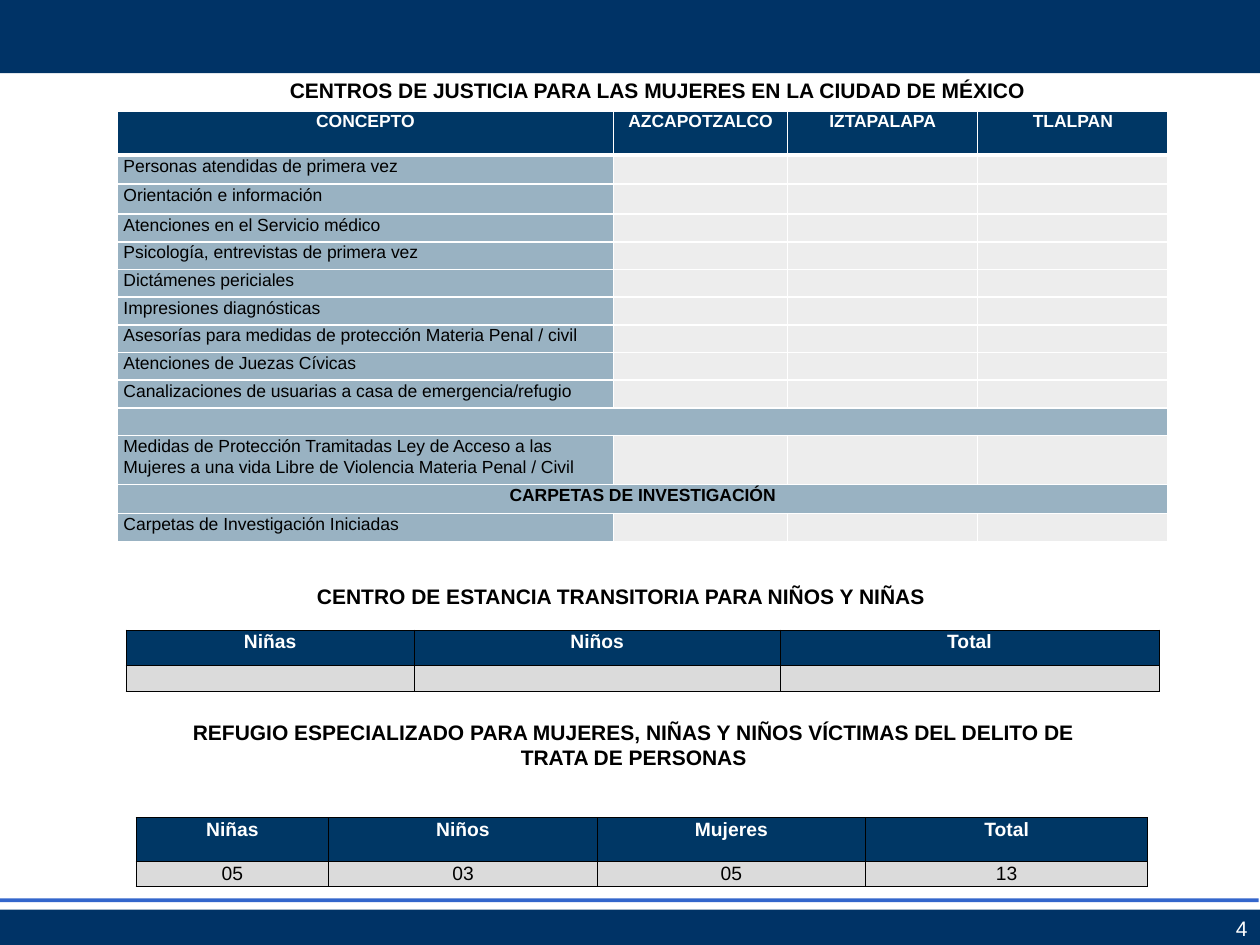
from dataclasses import dataclass

from lxml import etree
from pptx import Presentation
from pptx.dml.color import RGBColor
from pptx.enum import shapes, text
from pptx.oxml.ns import qn
from pptx.util import Inches, Pt

NAVY, BLUE, HEAD = "003366", "3366CC", "003765"
STEEL, PALE, GRAY = "99B2C2", "EDEDED", "DBDBDB"
WHITE, BLACK = "FFFFFF", "000000"
FONT = "Arial"
CENTER, LEFT = text.PP_ALIGN.CENTER, text.PP_ALIGN.LEFT


@dataclass
class Box:
    left: float
    top: float
    width: float
    height: float

    def place(self) -> tuple:
        return tuple(Inches(n) for n in (self.left, self.top, self.width, self.height))


@dataclass
class Bar:
    box: Box
    color: str


@dataclass
class Grid:
    left: float
    top: float
    cols: list[float]
    heights: list[float]
    rows: list[list[str]]
    size: int
    inset: float
    line: str
    weight: float
    first: str  # fill of the first body column
    body: str  # fill of the other body columns
    align: text.PP_ALIGN  # of the body text


def rgb(color: str) -> RGBColor:
    return RGBColor.from_string(color)


def write(frame, words: str, size: int, color: str = BLACK, bold: bool = True,
          align=CENTER, space: float = 1.0) -> None:
    frame.text = words
    para = frame.paragraphs[0]
    para.alignment, para.line_spacing = align, space
    for run in para.runs:
        run.font.name, run.font.size, run.font.bold = FONT, Pt(size), bold
        run.font.color.rgb = rgb(color)
    if not words:  # keeps an empty cell as low as a filled one
        para._p.get_or_add_endParaRPr().set("sz", str(size * 100))


def set_frame(frame, inset: float) -> None:
    frame.word_wrap = True
    frame.auto_size = text.MSO_AUTO_SIZE.NONE
    frame.vertical_anchor = text.MSO_ANCHOR.TOP
    frame.margin_left = frame.margin_right = Inches(inset)
    frame.margin_top = frame.margin_bottom = Inches(inset)


def add_bar(slide, bar: Bar) -> None:
    shape = slide.shapes.add_shape(shapes.MSO_SHAPE.RECTANGLE, *bar.box.place())
    shape.shadow.inherit = False
    shape.fill.solid()
    shape.fill.fore_color.rgb = rgb(bar.color)
    shape.line.fill.background()


def add_label(slide, box: Box, words: str) -> None:
    frame = slide.shapes.add_textbox(*box.place()).text_frame
    set_frame(frame, 0.05)
    write(frame, words, 12)


def set_edges(cell, color: str, weights: dict[str, float]) -> None:
    props = cell._tc.get_or_add_tcPr()
    for spot, (side, weight) in enumerate(weights.items()):
        line = etree.Element(qn(f"a:ln{side}"), w=str(Pt(weight)))
        fill = etree.SubElement(line, qn("a:solidFill"))
        etree.SubElement(fill, qn("a:srgbClr"), val=color)
        props.insert(spot, line)


def add_grid(slide, grid: Grid) -> None:
    box = Box(grid.left, grid.top, sum(grid.cols), sum(grid.heights))
    table = slide.shapes.add_table(len(grid.rows), len(grid.cols), *box.place()).table
    table.horz_banding = False
    for col, width in zip(table.columns, grid.cols):
        col.width = Inches(width)
    for row, height in zip(table.rows, grid.heights):
        row.height = Inches(height)

    white = grid.line == WHITE
    for r, words in enumerate(grid.rows):
        whole = len(words) == 1  # a single entry spans the row
        if whole:
            table.cell(r, 0).merge(table.cell(r, len(grid.cols) - 1))
        for c, word in enumerate(words):
            cell = table.cell(r, c)
            cell.margin_left = cell.margin_right = Inches(grid.inset)
            cell.margin_top = cell.margin_bottom = 0
            cell.fill.solid()
            fill = HEAD if r == 0 else grid.first if c == 0 else grid.body
            cell.fill.fore_color.rgb = rgb(fill)
            write(cell.text_frame, word, grid.size, WHITE if r == 0 else BLACK,
                  r == 0 or whole, CENTER if r == 0 or whole else grid.align, 1.07)
            edges = dict.fromkeys("LRTB", grid.weight)
            if white and r == 0:
                edges["B"] = 3
            if white and r == 1:
                edges["T"] = 3
            set_edges(cell, grid.line, edges)


BARS = [
    Bar(Box(0, 0, 10, 0.58), NAVY),
    Bar(Box(-0.01, 7.13, 10, 0.03), BLUE),
    Bar(Box(0, 7.22, 10, 0.29), NAVY),
]

SERVICES = [
    "Personas atendidas de primera vez",
    "Orientación e información",
    "Atenciones en el Servicio médico",
    "Psicología, entrevistas de primera vez",
    "Dictámenes periciales",
    "Impresiones diagnósticas",
    "Asesorías para medidas de protección Materia Penal / civil",
    "Atenciones de Juezas Cívicas",
    "Canalizaciones de usuarias a casa de emergencia/refugio",
]
ORDERS = ("Medidas de Protección Tramitadas Ley de Acceso a las Mujeres "
          "a una vida Libre de Violencia Materia Penal / Civil")
BLANK = [""] * 3

GRIDS = [
    Grid(1, 5, [2.29, 2.9, 3.01], [0.28, 0.21],
         [["Niñas", "Niños", "Total"], BLANK],
         11, 0, BLACK, 0.5, GRAY, GRAY, CENTER),
    Grid(1.08, 6.49, [1.53, 2.13, 2.13, 2.24], [0.35, 0.19],
         [["Niñas", "Niños", "Mujeres", "Total"], ["05", "03", "05", "13"]],
         11, 0, BLACK, 0.5, GRAY, GRAY, CENTER),
    Grid(0.93, 0.88, [3.94, 1.38, 1.51, 1.51],
         [0.35, 0.23, 0.24] + [0.22] * 8 + [0.39, 0.23, 0.22],
         [["CONCEPTO", "AZCAPOTZALCO", "IZTAPALAPA", "TLALPAN"],
          *([name] + BLANK for name in SERVICES),
          [""],
          [ORDERS] + BLANK,
          ["CARPETAS DE INVESTIGACIÓN"],
          ["Carpetas de Investigación Iniciadas"] + BLANK],
         10, 0.05, WHITE, 1, STEEL, PALE, LEFT),
]


def main() -> None:
    deck = Presentation()
    deck.slide_width, deck.slide_height = Inches(10), Inches(7.5)
    slide = deck.slides.add_slide(deck.slide_layouts[5])

    # Bands and page number
    for bar in BARS:
        add_bar(slide, bar)
    page = slide.shapes.add_textbox(*Box(7.75, 7.25, 2.25, 0.23).place()).text_frame
    page.word_wrap = True
    page.vertical_anchor = text.MSO_ANCHOR.MIDDLE
    write(page, "4", 12, WHITE, False, text.PP_ALIGN.RIGHT)

    # Title and section headings
    title = slide.shapes.title
    title.left, title.top, title.width, title.height = Box(1.62, 0.55, 7.2, 0.33).place()
    set_frame(title.text_frame, 0.05)
    write(title.text_frame,
          "CENTROS DE JUSTICIA PARA LAS MUJERES EN LA CIUDAD DE MÉXICO", 12, space=1.07)
    add_label(slide, Box(1.28, 4.58, 7.3, 0.3),
              "CENTRO DE ESTANCIA TRANSITORIA PARA NIÑOS Y NIÑAS")
    add_label(slide, Box(1.38, 5.66, 7.3, 0.5),
              "REFUGIO ESPECIALIZADO PARA MUJERES, NIÑAS Y NIÑOS VÍCTIMAS "
              "DEL DELITO DE TRATA DE PERSONAS")

    # Tables
    for grid in GRIDS:
        add_grid(slide, grid)

    deck.save("out.pptx")


if __name__ == "__main__":
    main()
